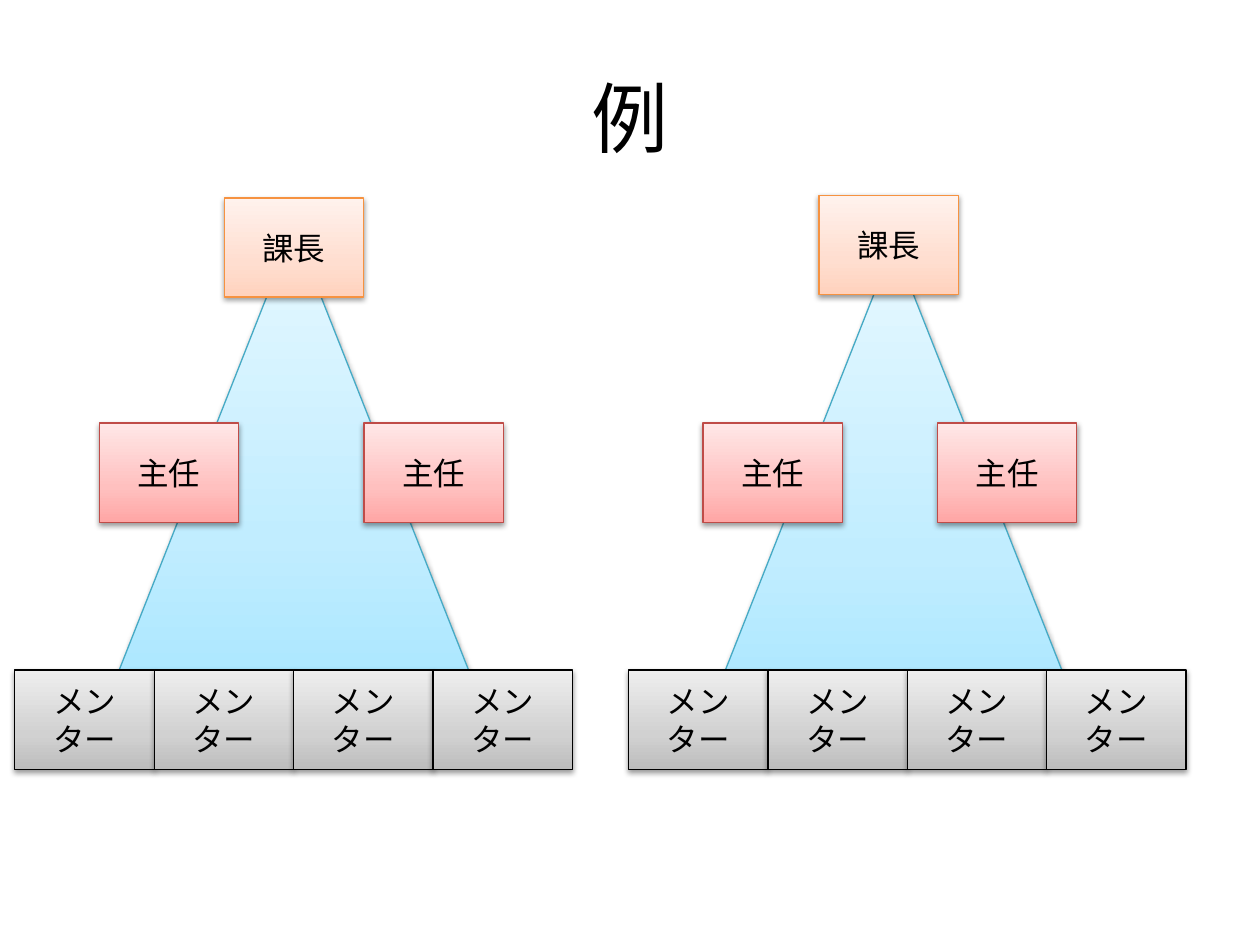
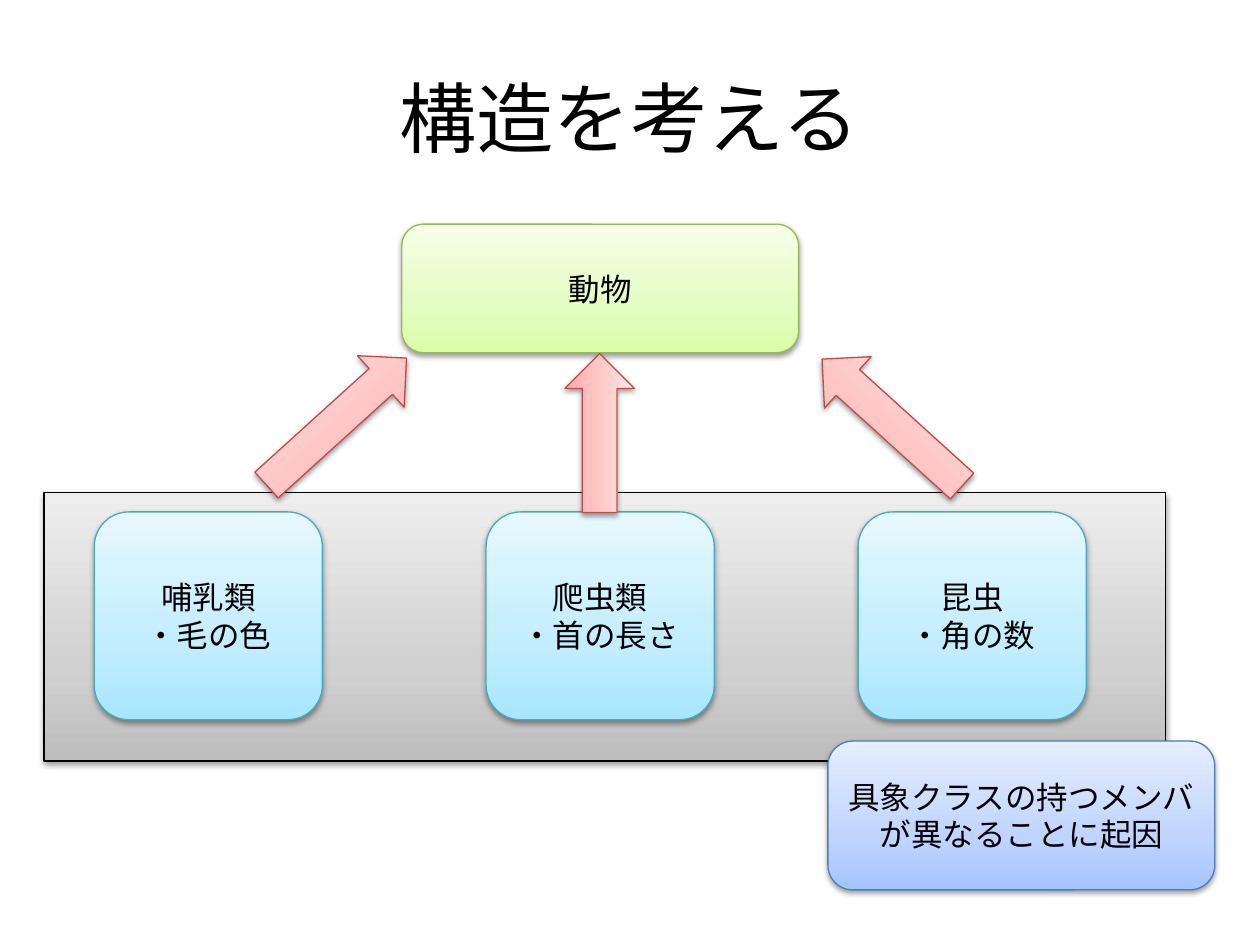
import copy

import lxml.etree
import pptx
import pptx.dml.color
import pptx.enum.shapes
import pptx.enum.text
import pptx.oxml
import pptx.oxml.ns
import pptx.util

Cm = pptx.util.Cm
RGB = pptx.dml.color.RGBColor
KIND = pptx.enum.shapes.MSO_SHAPE
qn = pptx.oxml.ns.qn

BLACK = RGB(0x00, 0x00, 0x00)
# Each look: line colour, then the gradient from the bottom edge to the top.
ORANGE = [RGB(0xF6, 0x92, 0x40), RGB(0xFF, 0xD2, 0xBD), RGB(0xFF, 0xDE, 0xD0), RGB(0xFF, 0xF2, 0xED)]
RED = [RGB(0xBF, 0x4C, 0x48), RGB(0xFF, 0xA6, 0xA5), RGB(0xFF, 0xC0, 0xBF), RGB(0xFF, 0xE7, 0xE7)]
GREY = [BLACK, RGB(0xBD, 0xBD, 0xBD), RGB(0xD1, 0xD1, 0xD1), RGB(0xEE, 0xEE, 0xEE)]
AQUA = [RGB(0x46, 0xAA, 0xC5), RGB(0xA7, 0xE6, 0xFF), RGB(0xC1, 0xED, 0xFF), RGB(0xE7, 0xF8, 0xFF)]
GREEN = [RGB(0x98, 0xB9, 0x55), RGB(0xDA, 0xFD, 0xA7), RGB(0xE4, 0xFC, 0xC2), RGB(0xF5, 0xFF, 0xE7)]
BLUE = [RGB(0x4B, 0x7E, 0xBC), RGB(0xA4, 0xC4, 0xFF), RGB(0xBF, 0xD4, 0xFF), RGB(0xE6, 0xEE, 0xFF)]
STOPS = [0, 0.35, 1]

FRAME = {"word_wrap": True, "vertical_anchor": pptx.enum.text.MSO_ANCHOR.MIDDLE}
FONT = {"name": "Calibri"}
SHADOW = (
    '<a:outerShdw xmlns:a="http://schemas.openxmlformats.org/drawingml/2006/main" '
    'blurRad="40000" dist="20000" dir="5400000" rotWithShape="0">'
    '<a:srgbClr val="000000"><a:alpha val="38000"/></a:srgbClr></a:outerShdw>'
)


def write(shape, text, size=18):
    """Put centred black text in a shape, one paragraph per line."""
    frame = shape.text_frame
    for name, value in FRAME.items():
        setattr(frame, name, value)
    frame.text = text
    for para in frame.paragraphs:
        para.alignment = pptx.enum.text.PP_ALIGN.CENTER
        font = para.runs[0].font
        for name, value in {**FONT, "size": pptx.util.Pt(size)}.items():
            setattr(font, name, value)
        font.color.rgb = BLACK


def draw(slide, kind, box, look, text=""):
    """Add a shape with gradient, line and soft shadow; box is in cm."""
    shape = slide.shapes.add_shape(kind, *map(Cm, box))
    shape.fill.gradient()
    shape.fill.gradient_angle = 90
    props = shape._element.spPr
    stops = props.find(".//" + qn("a:gsLst"))
    stops.append(copy.deepcopy(stops[0]))
    for stop, place, tint in zip(shape.fill.gradient_stops, STOPS, look[1:]):
        stop.position = place
        stop.color.rgb = tint
    shape.line.color.rgb = look[0]
    shape.line.width = pptx.util.Pt(0.75)
    shape.shadow.inherit = False
    props.find(qn("a:effectLst")).append(lxml.etree.fromstring(SHADOW))
    if text:
        write(shape, text)
    return shape


deck = pptx.Presentation()
deck.slide_width, deck.slide_height = Cm(25.4), Cm(19.05)
slides = []
for title in ["例", "構造を考える"]:
    slide = deck.slides.add_slide(deck.slide_layouts[6])
    head = slide.shapes.add_textbox(Cm(1.27), Cm(0.76), Cm(22.86), Cm(3.18))
    write(head, title, 44)
    slides.append(slide)
team, tree = slides

# Slide 1: two teams, each with one manager, two chiefs and four mentors
WIDE, HIGH = 2.81, 2
TEAMS = [
    {"cone": (2.13, 4.6), "boss": (4.52, 3.99), "chiefs": (2, 7.34), "left": 0.3},
    {"cone": (14.22, 4.93), "boss": (16.51, 3.94), "chiefs": (14.17, 18.9), "left": 12.67},
]
for unit in TEAMS:
    draw(team, KIND.ISOSCELES_TRIANGLE, (*unit["cone"], 7.59, 9.6), AQUA)
    draw(team, KIND.RECTANGLE, (*unit["boss"], WIDE, HIGH), ORANGE, "課長")
    for left in unit["chiefs"]:
        draw(team, KIND.RECTANGLE, (left, 8.53, WIDE, HIGH), RED, "主任")
    for col in range(4):
        left = unit["left"] + col * WIDE
        draw(team, KIND.RECTANGLE, (left, 13.51, WIDE, HIGH), GREY, "メンター")

# Slide 2: three kinds of animal under one parent
draw(tree, KIND.RECTANGLE, (0.89, 9.93, 22.61, 5.41), GREY)
draw(tree, KIND.ROUNDED_RECTANGLE, (8.1, 4.52, 8, 2.59), GREEN, "動物")
KINDS = [(1.9, "哺乳類\n・毛の色"), (9.8, "爬虫類\n・首の長さ"), (17.3, "昆虫\n・角の数")]
for left, text in KINDS:
    draw(tree, KIND.ROUNDED_RECTANGLE, (left, 10.32, 4.6, 4.19), AQUA, text)

ARROWS = [
    ((4.88, 7.8, 3.81, 1.4), 317.8, False),
    ((16.08, 7.82, 3.81, 1.4), 42.2, True),
    ((10.49, 8.03, 3.2, 1.4), 90, True),
]
for box, turn, flip in ARROWS:
    arrow = draw(tree, KIND.RIGHT_ARROW, box, RED)
    arrow.rotation = turn
    if flip:
        arrow._element.spPr.find(qn("a:xfrm")).set("flipH", "1")

note = "具象クラスの持つメンバが異なることに起因"
draw(tree, KIND.ROUNDED_RECTANGLE, (16.69, 14.94, 7.8, 3), BLUE, note)

deck.save("out.pptx")
